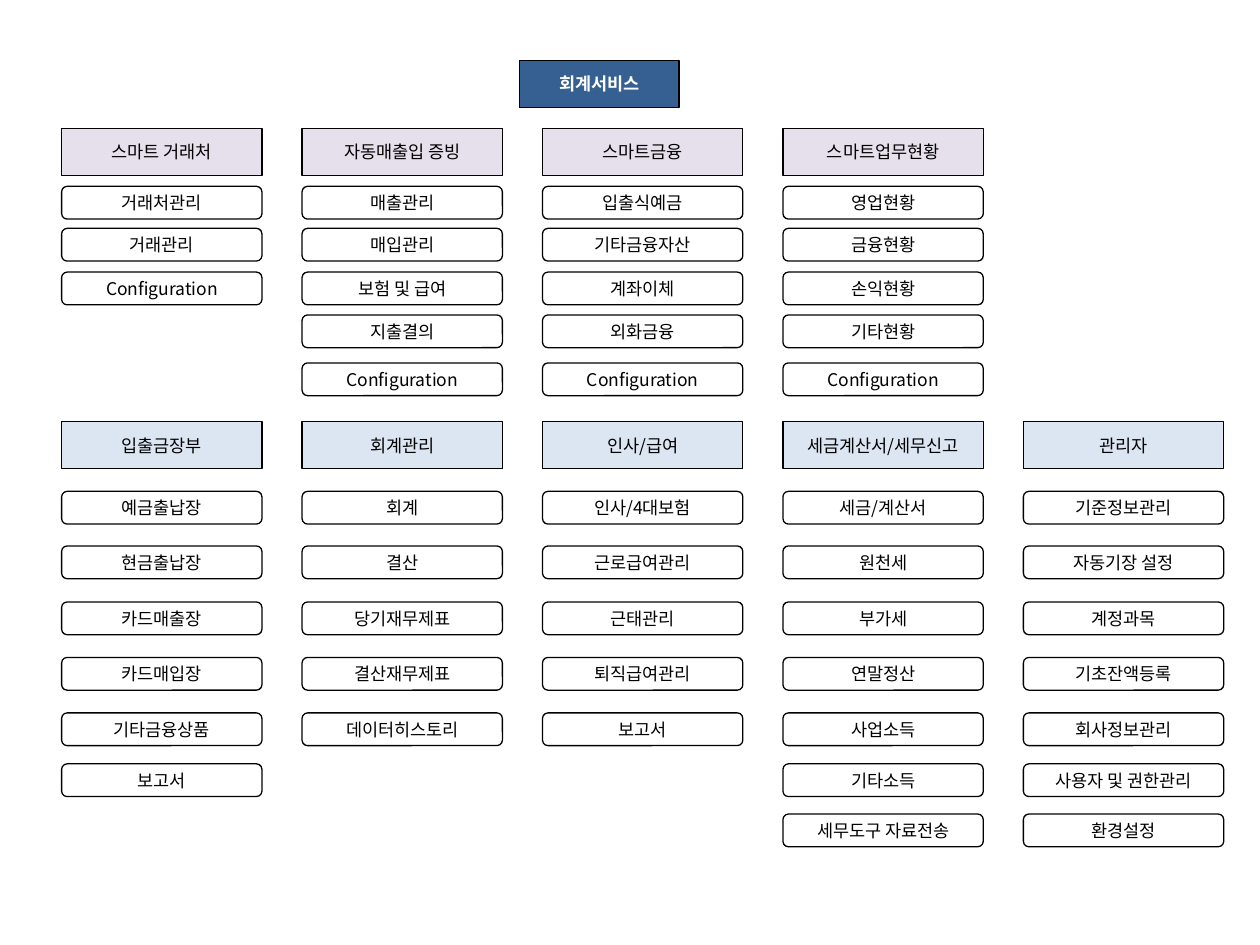
"""Build the menu structure slide of an accounting service."""
import pptx
import pptx.util
import pptx.dml.color
import pptx.enum.shapes
import pptx.enum.text
import pptx.oxml.ns
from lxml import etree

Pt = pptx.util.Pt
RGB = pptx.dml.color.RGBColor.from_string
SHAPES = pptx.enum.shapes.MSO_SHAPE
THEME = {
    "font": "Noto Sans CJK KR", "size": 10, "line": "000000", "line_width": 0.75,
    "title": {"fill": "376092", "color": "FFFFFF", "bold": True},
    "smart": {"fill": "E6E0EC", "color": "000000", "bold": False},
    "ledger": {"fill": "DCE6F2", "color": "000000", "bold": False},
    "item": {"fill": None, "color": "000000", "bold": False},
}
LEFT, PITCH, WIDTH = 35.2, 137.4, 114.5
HEAD_H, ITEM_H = 26.8, 18.7

SECTIONS = [
    {"look": "smart", "top": 73.4, "item_tops": [106.5, 130.5, 155.5, 180, 207.4], "menus": {
        "스마트 거래처": ["거래처관리", "거래관리", "Configuration"],
        "자동매출입 증빙": ["매출관리", "매입관리", "보험 및 급여", "지출결의", "Configuration"],
        "스마트금융": ["입출식예금", "기타금융자산", "계좌이체", "외화금융", "Configuration"],
        "스마트업무현황": ["영업현황", "금융현황", "손익현황", "기타현황", "Configuration"],
    }},
    {"look": "ledger", "top": 241, "item_tops": [280.8, 312, 344, 375.7, 407.4, 436.5, 465.2], "menus": {
        "입출금장부": ["예금출납장", "현금출납장", "카드매출장", "카드매입장", "기타금융상품", "보고서"],
        "회계관리": ["회계", "결산", "당기재무제표", "결산재무제표", "데이터히스토리"],
        "인사/급여": ["인사/4대보험", "근로급여관리", "근태관리", "퇴직급여관리", "보고서"],
        "세금계산서/세무신고": ["세금/계산서", "원천세", "부가세", "연말정산", "사업소득",
                        "기타소득", "세무도구 자료전송"],
        "관리자": ["기준정보관리", "자동기장 설정", "계정과목", "기초잔액등록", "회사정보관리",
                "사용자 및 권한관리", "환경설정"],
    }},
]


def format_box(sp, text, look, left, top, width, height):
    box = {"left": left, "top": top, "width": width, "height": height}
    for name, value in box.items():
        setattr(sp, name, Pt(value))
    if look["fill"]:
        sp.fill.solid()
        sp.fill.fore_color.rgb = RGB(look["fill"])
    else:
        sp.fill.background()
    sp.line.color.rgb = RGB(THEME["line"])
    sp.line.width = Pt(THEME["line_width"])
    tf = sp.text_frame
    frame = {"word_wrap": True, "auto_size": pptx.enum.text.MSO_AUTO_SIZE.NONE,
             "vertical_anchor": pptx.enum.text.MSO_ANCHOR.MIDDLE,
             "margin_top": 0, "margin_bottom": 0}
    for name, value in frame.items():
        setattr(tf, name, value)
    p = tf.paragraphs[0]
    p.alignment = pptx.enum.text.PP_ALIGN.CENTER
    r = p.add_run()
    r.text = text
    font = {"name": THEME["font"], "size": Pt(THEME["size"]), "bold": look["bold"]}
    for name, value in font.items():
        setattr(r.font, name, value)
    r.font.color.rgb = RGB(look["color"])
    ea = etree.SubElement(r.font._element, pptx.oxml.ns.qn("a:ea"))
    ea.set("typeface", THEME["font"])


def add_box(s, shape, *details):
    sp = s.shapes.add_shape(shape, 0, 0, Pt(1), Pt(1))
    sp.shadow.inherit = False
    format_box(sp, *details)


prs = pptx.Presentation()
prs.slide_width, prs.slide_height = Pt(720), Pt(540)
s = prs.slides.add_slide(prs.slide_layouts[5])
format_box(s.shapes.title, "회계서비스", THEME["title"], 296.7, 34.6, 91.4, HEAD_H)

for section in SECTIONS:
    for col, (heading, items) in enumerate(section["menus"].items()):
        left = LEFT + col * PITCH
        add_box(s, SHAPES.RECTANGLE, heading, THEME[section["look"]],
                left, section["top"], WIDTH, HEAD_H)
        for top, item in zip(section["item_tops"], items):
            add_box(s, SHAPES.ROUNDED_RECTANGLE, item, THEME["item"],
                    left, top, WIDTH, ITEM_H)

prs.save("out.pptx")
